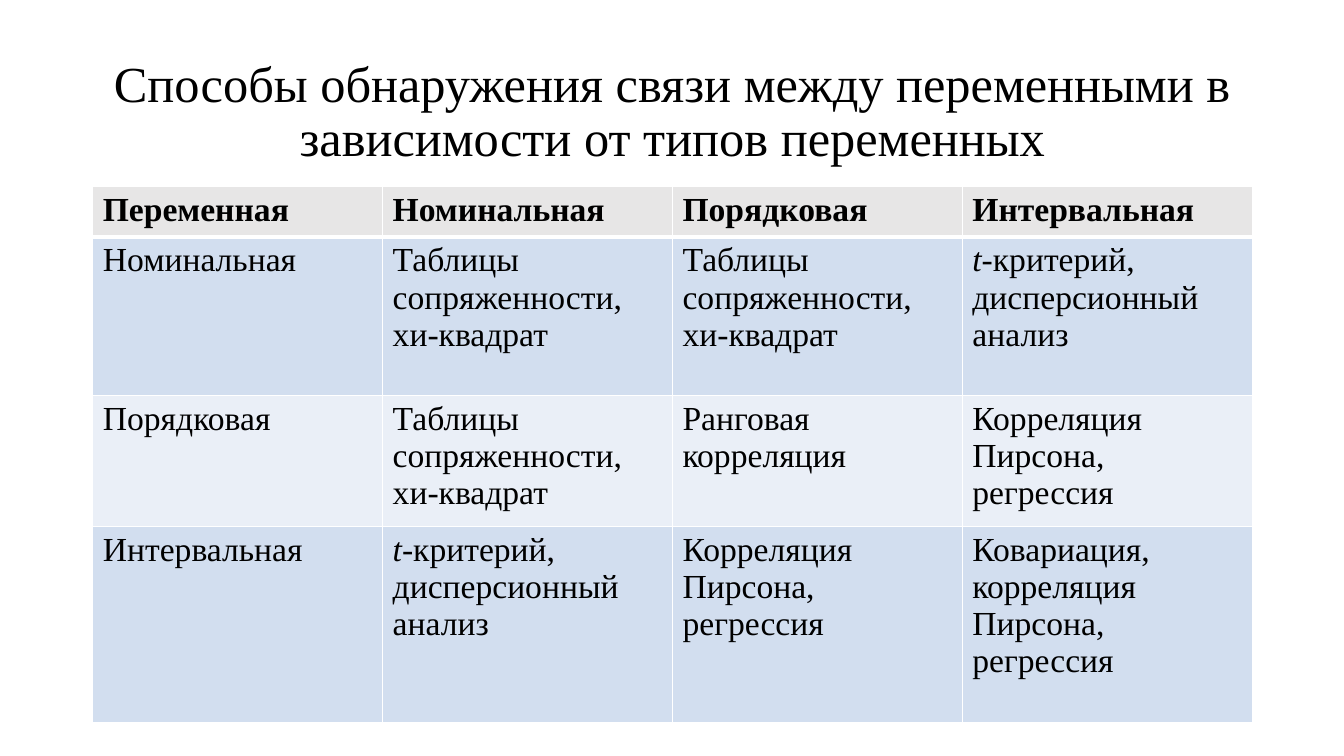
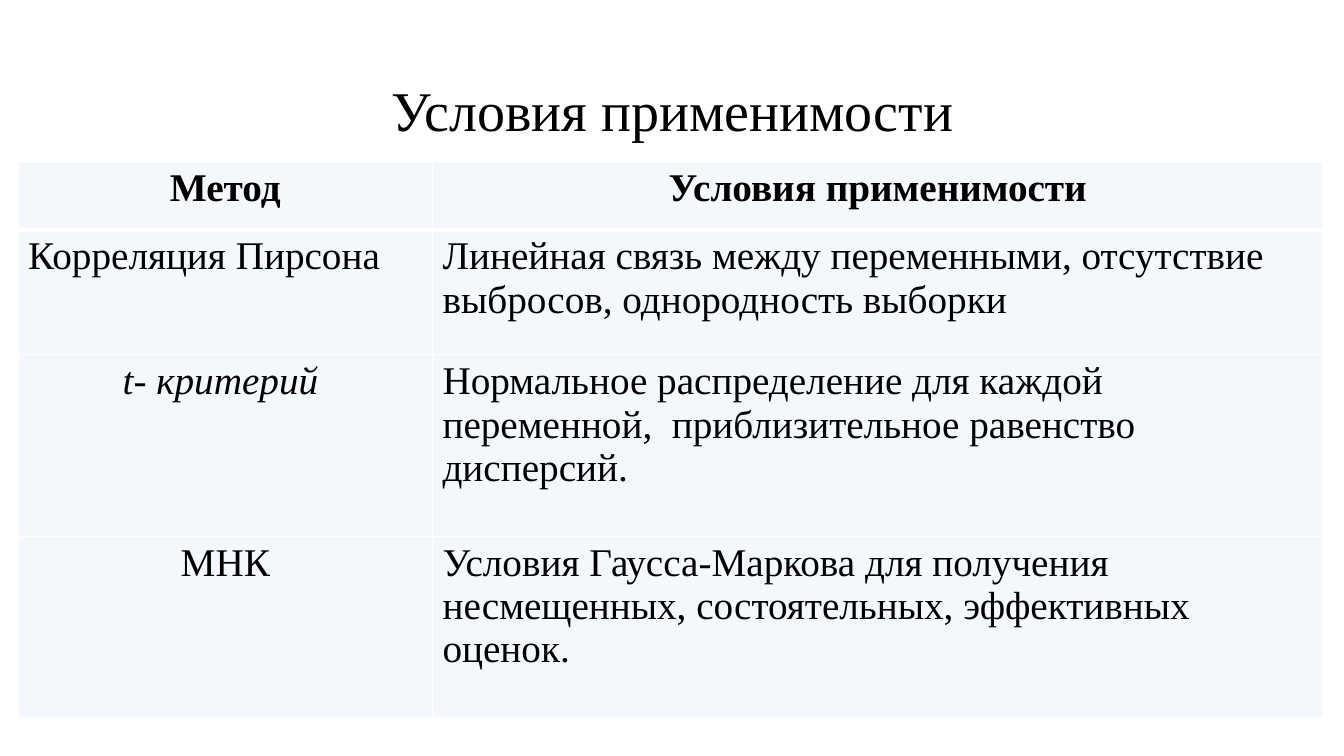
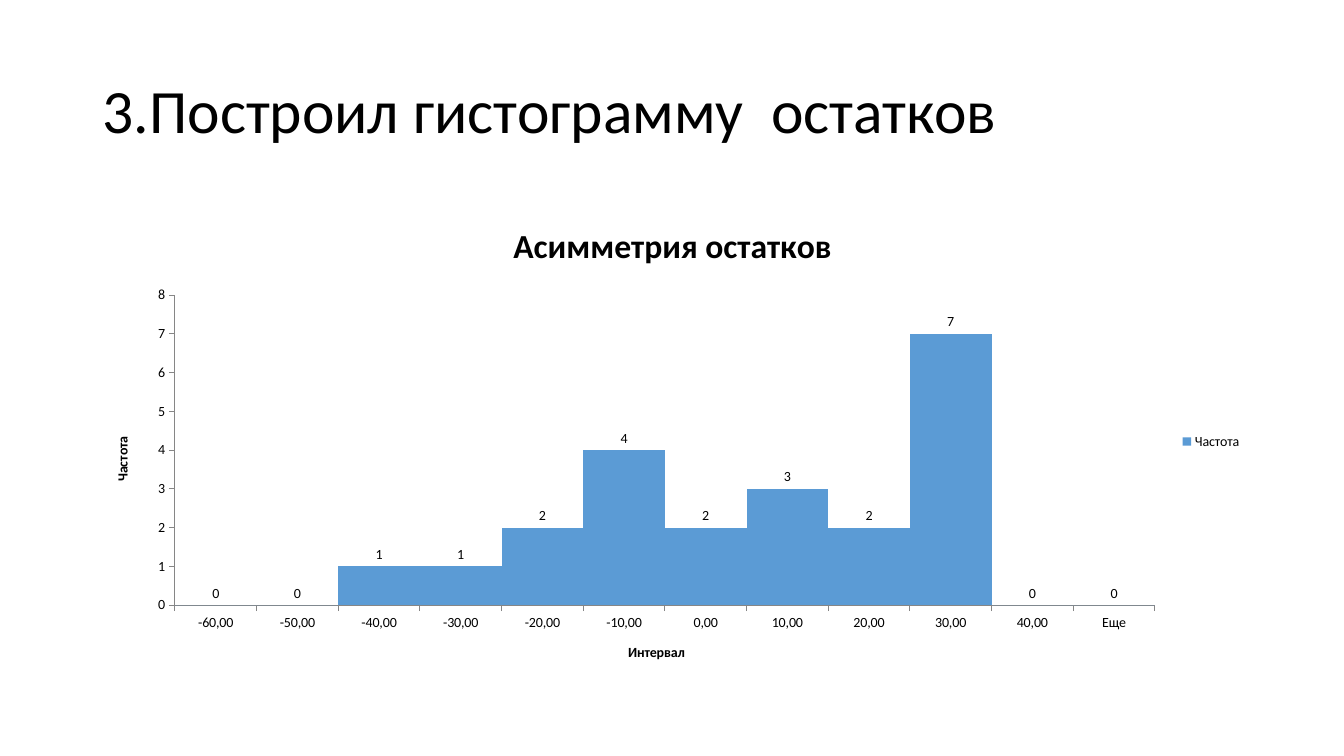
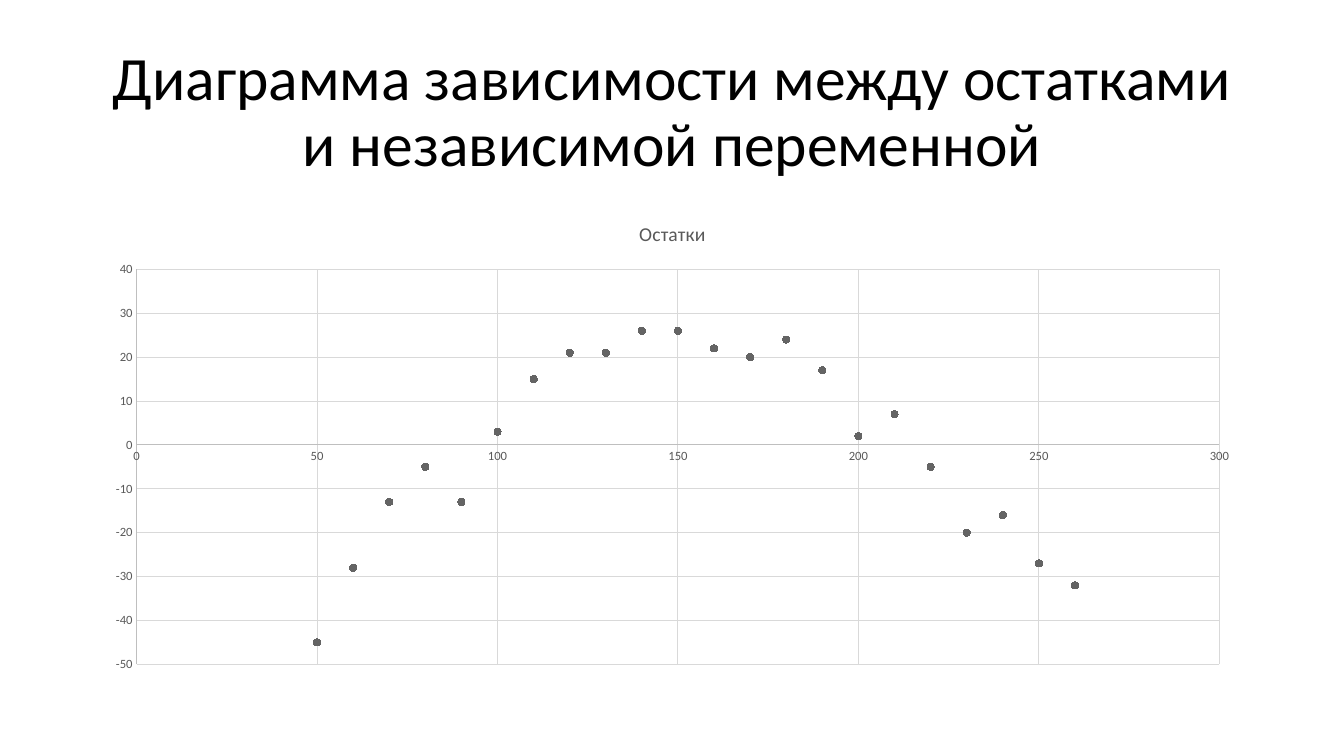
import pptx
import pptx.util
import pptx.oxml
import pptx.oxml.ns
import pptx.chart.data
import pptx.dml.color
import pptx.enum.chart
import pptx.enum.text

Inches = pptx.util.Inches
Pt = pptx.util.Pt
enum = pptx.enum.chart
align = pptx.enum.text.PP_ALIGN
space = pptx.oxml.ns.nsdecls
tint = {
    name: pptx.dml.color.RGBColor.from_string(code)
    for name, code in {
        "ink": "000000", "white": "FFFFFF", "head": "E7E6E6", "dark": "D2DEEF",
        "light": "EAEFF7", "pale": "DEEBF7", "bar": "5B9BD5", "axis": "868686",
        "gray": "595959", "line": "BFBFBF", "grid": "D9D9D9", "dot": "646464",
    }.items()
}
serif, sans = "Times New Roman", "Calibri"
left, wide = 0.92, 11.5

deck = pptx.Presentation()
deck.slide_width, deck.slide_height = Inches(13.33), Inches(7.5)
heads = [
    ("Способы обнаружения связи между переменными в зависимости от типов переменных", 36, serif, align.CENTER),
    ("Условия применимости", 40, serif, align.CENTER),
    ("3.Построил гистограмму  остатков", 44, sans, align.LEFT),
    ("Диаграмма зависимости между остатками и независимой переменной", 44, sans, align.CENTER),
]


def style(font, size, face, color="ink", bold=False):
    font.size, font.name, font.bold = Pt(size), face, bold
    font.color.rgb = tint[color]


def fill_table(slide, rows, place, widths, heights, size, fills, mid, alpha=None):
    table = slide.shapes.add_table(len(rows), len(widths), *map(Inches, place)).table
    for col, width in zip(table.columns, widths):
        col.width = Inches(width)
    for r, row in enumerate(rows):
        table.rows[r].height = Inches(heights[r])
        for c, text in enumerate(row):
            cell = table.cell(r, c)
            para = cell.text_frame.paragraphs[0]
            para.alignment = align.CENTER if (r, c) in mid else align.LEFT
            style(para.font, size, serif, bold=r == 0)
            slant, mark, plain = text.rpartition("|")
            for part in filter(None, (slant, plain)):
                run = para.add_run()
                run.text = part
                if mark and part == slant:
                    run.font.italic = True
            cell.fill.solid()
            cell.fill.fore_color.rgb = tint[fills[r]]
            prop = cell._tc.get_or_add_tcPr()
            if alpha:
                shade = prop.find(".//" + pptx.oxml.ns.qn("a:srgbClr"))
                shade.append(pptx.oxml.parse_xml(f'<a:alpha {space("a")} val="{alpha * 1000}"/>'))
            for i, side in enumerate("LRTB"):
                thick = 3 if (r, side) == (0, "B") else 1
                prop.insert(i, pptx.oxml.parse_xml(
                    f'<a:ln{side} {space("a")} w="{Pt(thick)}"><a:solidFill>'
                    f'<a:srgbClr val="{tint["white"]}"/></a:solidFill></a:ln{side}>'))


slides = []
for text, size, face, side in heads:
    slide = deck.slides.add_slide(deck.slide_layouts[6])
    frame = slide.shapes.add_textbox(Inches(left), Inches(0.4), Inches(wide), Inches(1.45)).text_frame
    frame.word_wrap = True
    frame.vertical_anchor = pptx.enum.text.MSO_ANCHOR.MIDDLE
    para = frame.paragraphs[0]
    para.text, para.alignment, para.line_spacing = text, side, 0.9
    style(para.font, size, face)
    slides.append(slide)

cross = "Таблицы сопряженности, хи-квадрат"
test = "t|-критерий, дисперсионный анализ"
corr = "Корреляция Пирсона, регрессия"
kinds = ["Номинальная", "Порядковая", "Интервальная"]
rows = [
    ["Переменная", *kinds],
    [kinds[0], cross, cross, test],
    [kinds[1], cross, "Ранговая корреляция", corr],
    [kinds[2], test, corr, "Ковариация, корреляция Пирсона, регрессия"],
]
fill_table(slides[0], rows, (left, 1.85, wide, 4.34), [wide / 4] * 4,
           [0.41, 1.57, 0.41, 1.95], 24, ["head", "dark", "light", "dark"], [])

rows = [
    ["Метод", "Условия применимости"],
    ["Корреляция Пирсона", "Линейная связь между переменными, отсутствие выбросов, однородность выборки"],
    ["t- критерий |", "Нормальное распределение для каждой переменной,  приблизительное равенство дисперсий."],
    ["МНК", "Условия Гаусса-Маркова для получения несмещенных, состоятельных, эффективных оценок."],
]
fill_table(slides[1], rows, (0.18, 1.6, 12.94, 5.51), [4.11, 8.83],
           [0.68, 1.24, 1.8, 1.8], 28, ["pale"] * 4,
           [(0, 0), (0, 1), (2, 0), (3, 0)], 32)

bars = pptx.chart.data.CategoryChartData()
bars.categories = [f"{n},00" for n in range(-60, 50, 10)] + ["Еще"]
bars.add_series("Частота", [0, 0, 1, 1, 2, 4, 2, 3, 2, 7, 0, 0])
dots = pptx.chart.data.XyChartData()
trail = dots.add_series("Остатки")
input_xs = [160, 60, 70, 200, 240, 100, 170, 180, 130, 210, 150,
            50, 110, 120, 190, 80, 140, 220, 230, 90, 260, 250]
rest = [22, -28, -13, 2, -16, 3, 20, 24, 21, 7, 26,
        -45, 15, 21, 17, -5, 26, -5, -20, -13, -32, -27]
for x, y in zip(input_xs, rest):
    trail.add_data_point(x, y)

charts = []
for slide, kind, data, title, size, color, bold in [
    (slides[2], enum.XL_CHART_TYPE.COLUMN_CLUSTERED, bars, "Асимметрия остатков", 24, "ink", True),
    (slides[3], enum.XL_CHART_TYPE.XY_SCATTER, dots, "Остатки", 14, "gray", False),
]:
    chart = slide.shapes.add_chart(kind, Inches(left), Inches(2), Inches(wide), Inches(4.76), data).chart
    style(chart.font, 10, sans)
    chart.has_title = True
    chart.chart_title.include_in_layout = False
    para = chart.chart_title.text_frame.paragraphs[0]
    para.text = title
    style(para.font, size, sans, color, bold)
    chart.has_legend = False
    chart.plots[0].vary_by_categories = False
    charts.append(chart)

hist, cloud = charts
hist.has_legend = True
hist.legend.position = enum.XL_LEGEND_POSITION.RIGHT
hist.legend.include_in_layout = False
plot = hist.plots[0]
plot.gap_width = 0
fill = plot.series[0].format.fill
fill.solid()
fill.fore_color.rgb = tint["bar"]
plot.has_data_labels = True
plot.data_labels.show_value = True
plot.data_labels.position = enum.XL_LABEL_POSITION.OUTSIDE_END
style(plot.data_labels.font, 10, sans)
for axis, text in (hist.category_axis, "Интервал"), (hist.value_axis, "Частота"):
    axis.has_major_gridlines = False
    axis.major_tick_mark = enum.XL_TICK_MARK.OUTSIDE
    axis.format.line.color.rgb = tint["axis"]
    axis.has_title = True
    para = axis.axis_title.text_frame.paragraphs[0]
    para.text = text
    style(para.font, 10, sans, bold=True)
hist.value_axis.minimum_scale, hist.value_axis.maximum_scale = 0, 8
hist.value_axis.major_unit = 1

for axis, low, high, step in (cloud.category_axis, 0, 300, 50), (cloud.value_axis, -50, 40, 10):
    axis.minimum_scale, axis.maximum_scale, axis.major_unit = low, high, step
    axis.major_tick_mark = enum.XL_TICK_MARK.NONE
    axis.has_major_gridlines = True
    style(axis.tick_labels.font, 9, sans, "gray")
    for line, color in (axis.format.line, "line"), (axis.major_gridlines.format.line, "grid"):
        line.color.rgb, line.width = tint[color], Pt(0.75)
trail = cloud.plots[0].series[0]
trail.format.line.fill.background()
trail.smooth = False
trail.marker.style, trail.marker.size = enum.XL_MARKER_STYLE.CIRCLE, 5
trail.marker.format.fill.solid()
trail.marker.format.fill.fore_color.rgb = tint["dot"]
trail.marker.format.line.color.rgb = tint["dot"]

deck.save("out.pptx")
